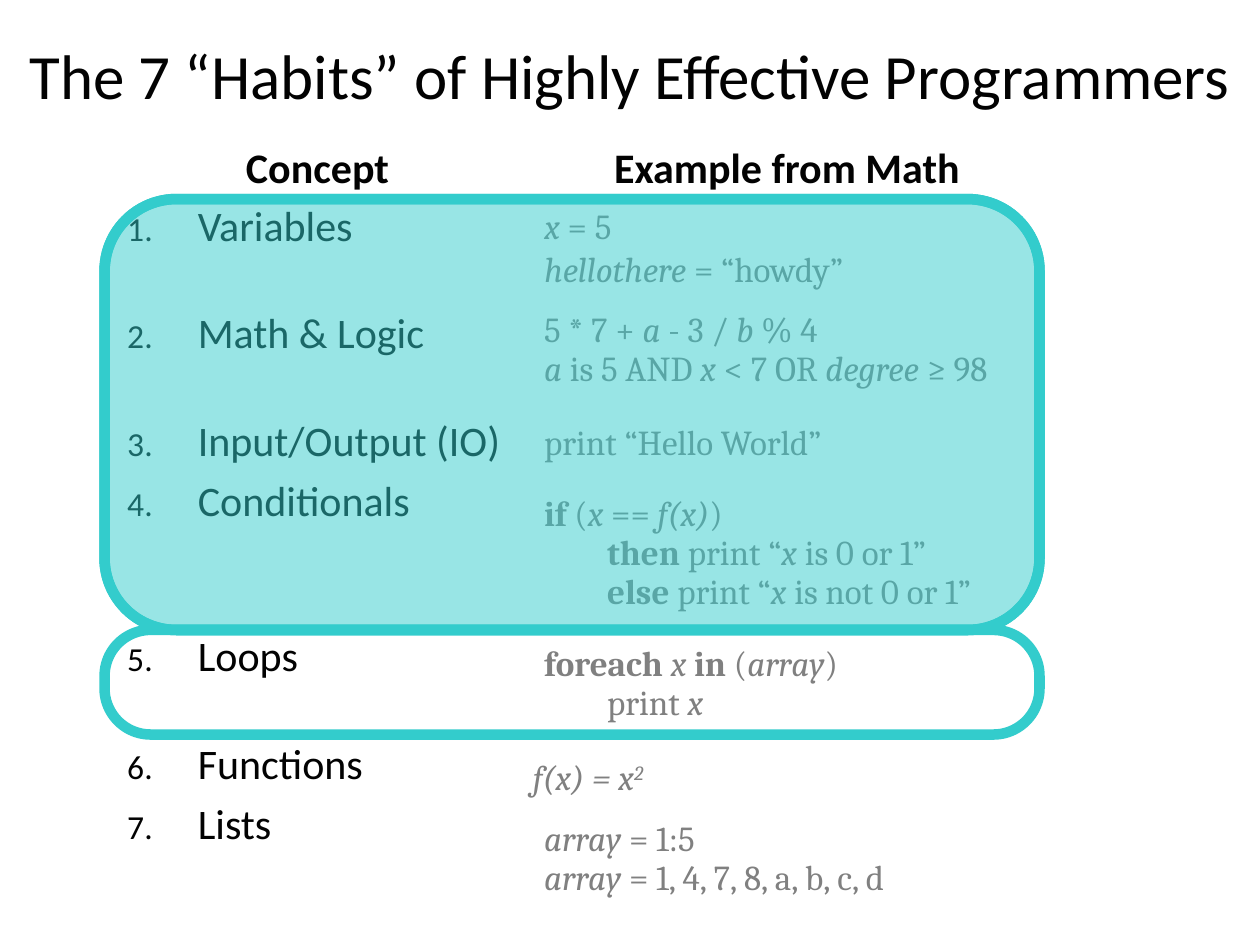
from dataclasses import dataclass

from lxml import etree
from pptx import Presentation
from pptx.dml.color import RGBColor
from pptx.enum.shapes import MSO_SHAPE
from pptx.enum.text import MSO_ANCHOR, MSO_AUTO_SIZE, PP_ALIGN
from pptx.oxml.ns import qn
from pptx.util import Inches, Pt

ROUND = MSO_SHAPE.ROUNDED_RECTANGLE
TOP, MIDDLE, BOTTOM = MSO_ANCHOR.TOP, MSO_ANCHOR.MIDDLE, MSO_ANCHOR.BOTTOM
LEFT, CENTER = PP_ALIGN.LEFT, PP_ALIGN.CENTER
NO_FIT = MSO_AUTO_SIZE.NONE


@dataclass(frozen=True)
class Theme:
    ink: RGBColor = RGBColor(0x02, 0x02, 0x02)
    gray: RGBColor = RGBColor(0x80, 0x80, 0x80)
    teal: RGBColor = RGBColor(0x33, 0xCC, 0xCC)
    sans: str = "Calibri"
    serif: str = "Cambria"
    title: int = 36
    body: int = 24
    code: int = 20


class Deck:
    def __init__(self, slide, theme):
        self.slide, self.theme = slide, theme

    def holder(self, idx, box, anchor):
        shape = self.slide.placeholders[idx]
        self.place(shape, box)
        return self.frame(shape, anchor)

    def place(self, shape, box):
        shape.left, shape.top, shape.width, shape.height = map(Inches, box)

    def frame(self, shape, anchor):
        frame = shape.text_frame
        frame.word_wrap = True
        frame.auto_size = NO_FIT
        frame.vertical_anchor = anchor
        return frame

    def para(self, frame, first, before, space, align=LEFT, indent=0, hang=0, number=False):
        para = frame.paragraphs[0] if first else frame.add_paragraph()
        para.alignment, para.line_spacing = align, space
        para.space_before, para.space_after = Pt(before), Pt(0)
        props = para._p.get_or_add_pPr()
        props.set("marL", str(Inches(indent)))
        props.set("indent", str(-Inches(hang)))
        if number:
            etree.SubElement(props, qn("a:buSzPct"), val="80000")
            etree.SubElement(props, qn("a:buAutoNum"), type="arabicPeriod")
        else:
            etree.SubElement(props, qn("a:buNone"))
        return para

    def style(self, para, name, size, color, bold=None):
        font = para.font
        font.name, font.size, font.bold = name, Pt(size), bold
        font.color.rgb = color

    def head(self, idx, box, text, size, bold, anchor, before=0):
        frame = self.holder(idx, box, anchor)
        para = self.para(frame, True, before, 1.02, CENTER)
        self.style(para, self.theme.sans, size, self.theme.ink, bold)
        para.add_run().text = text

    def steps(self, idx, box, items):
        frame = self.holder(idx, box, TOP)
        for i, (text, before) in enumerate(items):
            para = self.para(frame, i == 0, before, 0.92, indent=0.56, hang=0.56, number=True)
            self.style(para, self.theme.sans, self.theme.body, self.theme.ink)
            para.add_run().text = text

    def marked(self, para, text):
        """~italic~, #bold#, ^raised^"""
        for i, slant in enumerate(text.split("~")):
            for j, heavy in enumerate(slant.split("#")):
                for k, bit in enumerate(heavy.split("^")):
                    if bit:
                        run = para.add_run()
                        run.text = bit
                        run.font.italic, run.font.bold = i % 2 == 1, j % 2 == 1
                        if k % 2:
                            run._r.get_or_add_rPr().set("baseline", "30000")

    def code(self, frame, lines, before=5, space=0.93):
        for i, (text, indent) in enumerate(lines):
            para = self.para(frame, i == 0, 0 if i else before, space, indent=indent)
            self.style(para, self.theme.serif, self.theme.code, self.theme.gray)
            self.marked(para, text)

    def note(self, box, lines):
        shape = self.slide.shapes.add_textbox(*map(Inches, box))
        self.code(self.frame(shape, TOP), lines)

    def ring(self, box, round_by=None, alpha=None):
        shape = self.slide.shapes.add_shape(ROUND, *map(Inches, box))
        shape.shadow.inherit = False
        if round_by:
            shape.adjustments[0] = round_by
        shape.line.color.rgb, shape.line.width = self.theme.teal, Pt(6)
        if alpha is None:
            shape.fill.background()
            return
        shape.fill.solid()
        shape.fill.fore_color.rgb = self.theme.teal
        color = shape._element.spPr.find(qn("a:solidFill"))[0]
        etree.SubElement(color, qn("a:alpha"), val=str(alpha * 1000))


prs = Presentation()
prs.slide_width, prs.slide_height = Inches(10), Inches(7.5)
theme = Theme()
deck = Deck(prs.slides.add_slide(prs.slide_layouts[4]), theme)

# Title and column heads
COL, WIDE = 4.22, 5.78
deck.head(0, (0, 0.2, 10, 0.76), "The 7 “Habits” of Highly Effective Programmers",
          theme.title, False, MIDDLE)
deck.head(1, (0.91, 0.87, 3.22, 0.7), "Concept", theme.body, True, BOTTOM, 8)
deck.head(3, (COL, 0.87, 4.05, 0.7), "Example from Math", theme.body, True, BOTTOM, 8)

# Concepts, each with the space above it
GAP, ROW = 8, 27
deck.steps(2, (0.91, 1.57, 3.22, 5.58), [
    ("Variables", GAP),
    ("Math & Logic", GAP + ROW),
    ("Input/Output (IO)", GAP + ROW),
    ("Conditionals", GAP),
    ("Loops", GAP + 2 * ROW),
    ("Functions", GAP + ROW),
    ("Lists", GAP),
])

# Examples
deck.code(deck.holder(4, (COL, 1.57, WIDE, 0.88), TOP),
          [("~x~ = 5", 0), ("~hellothere ~= “howdy”", 0)], 7, 1.02)
NOTES = [
    (COL, 2.42, 0.88, [("5 * 7 + ~a~ - 3 / ~b~ % 4", 0),
                       ("~a ~is 5 AND ~x ~< 7 OR ~degree~ ≥ 98", 0)]),
    (COL, 3.32, 0.5, [("print “Hello World”", 0)]),
    (COL, 3.88, 0.88, [("#if# (~x ~==~ f(x)~)", 0),
                       ("#then #print “~x~ is 0 or 1”", 0.5),
                       ("#else #print “~x ~is not 0 or 1”", 0.5)]),
    (COL, 5.07, 0.88, [("#foreach #~x ~#in #(~array~)", 0), ("print ~x~", 0.5)]),
    (4.13, 5.98, 0.48, [("~f(x) = x^2^~", 0)]),
    (COL, 6.46, 0.88, [("~array ~= 1:5", 0), ("~array ~= 1, 4, 7, 8, a, b, c, d", 0)]),
]
for left, top, high, lines in NOTES:
    deck.note((left, top, WIDE, high), lines)

# Rings: done so far, and the current topic
done = (0.83, 1.58, 7.42, 3.42)
deck.ring(done)
deck.ring((0.83, 5, 7.42, 0.83), round_by=0.44)
deck.ring(done, alpha=50)

prs.save("out.pptx")
